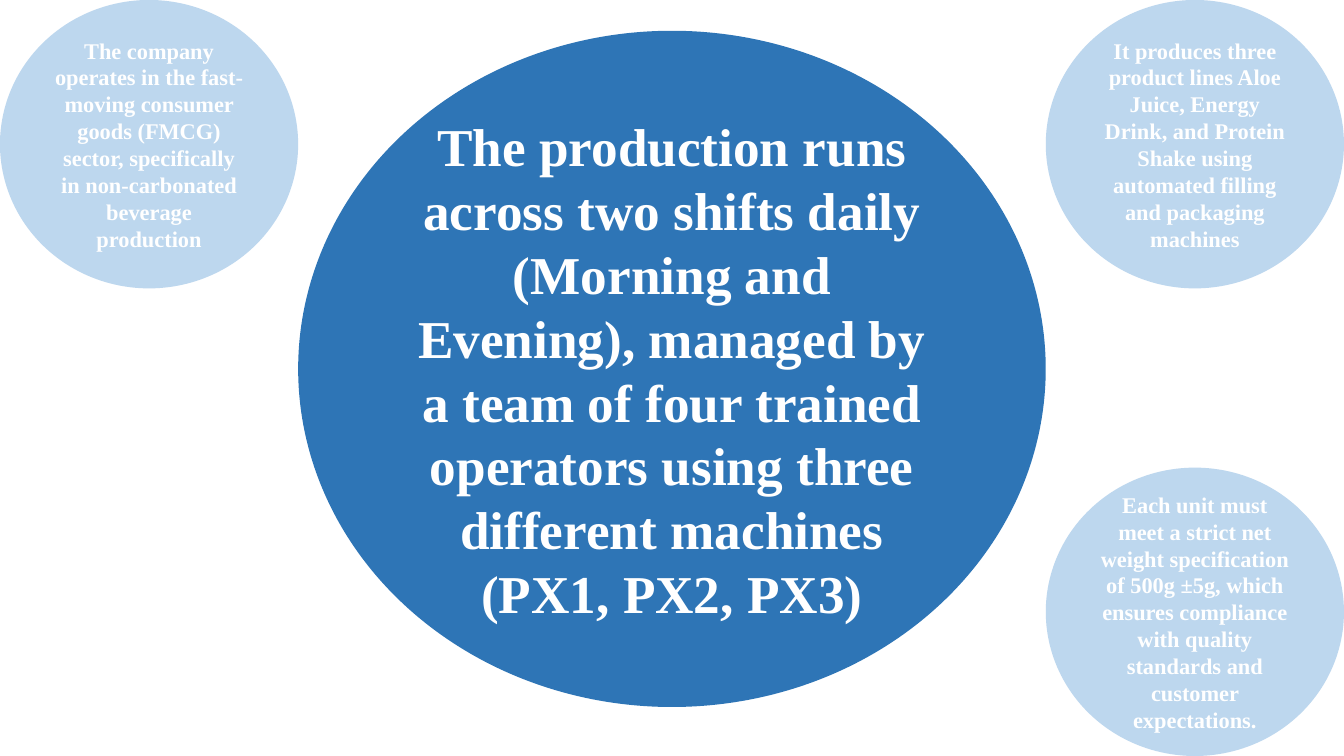
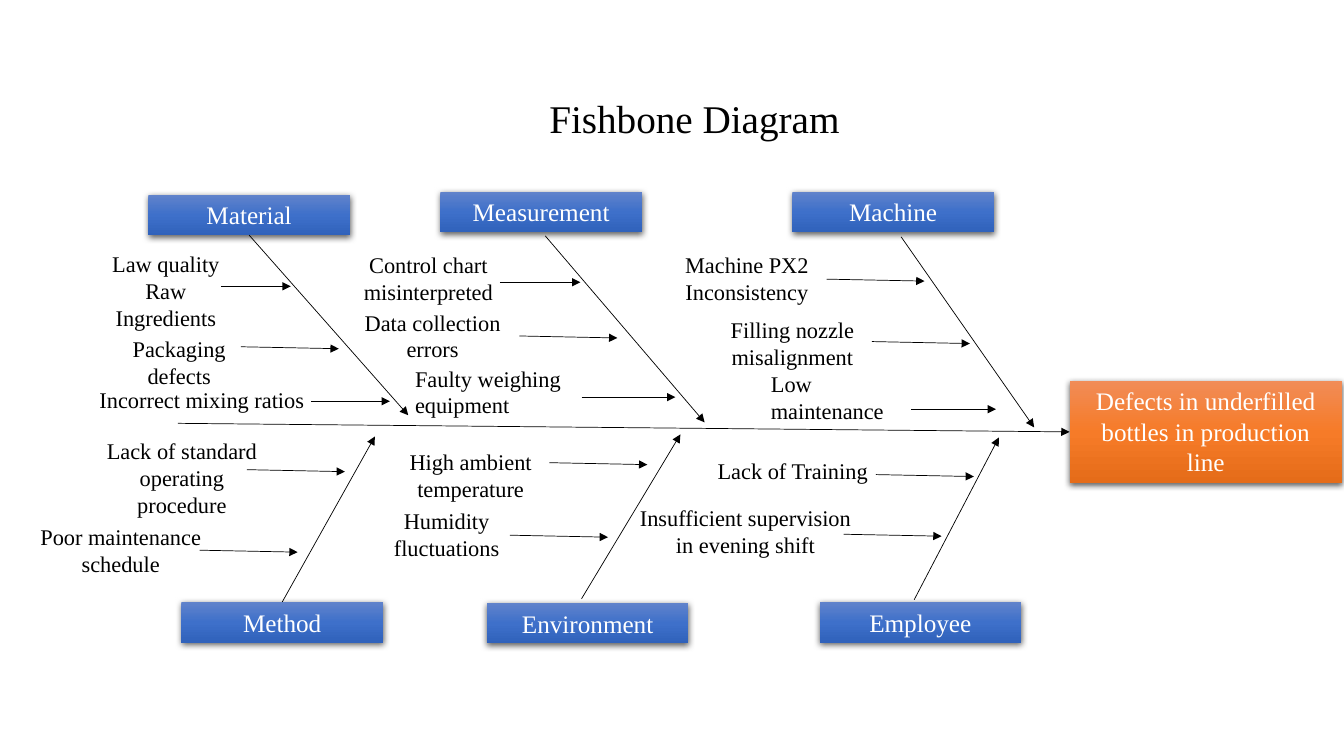
from copy import deepcopy

from lxml.etree import SubElement
from pptx import Presentation
from pptx.dml.color import RGBColor
from pptx.enum.shapes import MSO_CONNECTOR, MSO_SHAPE
from pptx.enum.text import MSO_ANCHOR, PP_ALIGN
from pptx.oxml.ns import qn
from pptx.util import Pt

TITLE_ONLY, BLANK = 5, 6
TOP, LEFT, BOTTOM = 0, 1, 2


def rgb(value):
    return RGBColor.from_string(value)


class Deck:
    """Holds the style and the slide being drawn; lengths are in points."""

    FONT = "Times New Roman"
    BLACK, WHITE = "000000", "FFFFFF"
    DARK_BLUE, PALE_BLUE = "2E75B6", "BDD7EE"
    BLUE_SHADES = ("6183CB", "3E70CA", "3062BB")
    ORANGE_SHADES = ("F18C57", "F67B28", "E56C19")

    def __init__(self):
        self.prs = Presentation()
        self.prs.slide_width, self.prs.slide_height = Pt(960), Pt(540)
        self.slide = None

    def add_slide(self, layout):
        self.slide = self.prs.slides.add_slide(self.prs.slide_layouts[layout])

    def set_text(self, sp, text, size, color, bold=False,
                 align=PP_ALIGN.CENTER, anchor=MSO_ANCHOR.TOP):
        tf = sp.text_frame
        tf.text = text
        tf.word_wrap = True
        tf.vertical_anchor = anchor
        for p in tf.paragraphs:
            p.alignment = align
            p.font.name, p.font.size, p.font.bold = self.FONT, Pt(size), bold
            p.font.color.rgb = rgb(color)

    def title(self, text, x, y, w, h):
        sp = self.slide.shapes.title
        sp.left, sp.top, sp.width, sp.height = Pt(x), Pt(y), Pt(w), Pt(h)
        self.set_text(sp, text, 28, self.BLACK)

    def shape(self, kind, x, y, w, h):
        sp = self.slide.shapes.add_shape(kind, Pt(x), Pt(y), Pt(w), Pt(h))
        sp.line.fill.background()
        sp.shadow.inherit = False
        return sp

    def ellipse(self, text, x, y, w, h, fill, size):
        sp = self.shape(MSO_SHAPE.OVAL, x, y, w, h)
        sp.fill.solid()
        sp.fill.fore_color.rgb = rgb(fill)
        self.set_text(sp, text, size, self.WHITE, bold=True, anchor=MSO_ANCHOR.MIDDLE)

    def box(self, text, x, y, w, h, shades):
        sp = self.shape(MSO_SHAPE.RECTANGLE, x, y, w, h)
        sp_pr = sp._element.spPr
        # Three-stop gradient, running downwards
        sp.fill.gradient()
        sp.fill.gradient_angle = 270
        stops = sp_pr.find(".//" + qn("a:gsLst"))
        stops.insert(1, deepcopy(stops[0]))
        for i, (stop, shade) in enumerate(zip(sp.fill.gradient_stops, shades)):
            stop.position = i / 2
            stop.color.rgb = rgb(shade)
        # Soft shadow below the box
        shadow = SubElement(sp_pr.find(qn("a:effectLst")), qn("a:outerShdw"),
                            blurRad=str(Pt(4.5)), dist=str(Pt(1.5)),
                            dir="5400000", algn="ctr", rotWithShape="0")
        color = SubElement(shadow, qn("a:srgbClr"), val=self.BLACK)
        SubElement(color, qn("a:alpha"), val="63000")
        self.set_text(sp, text, 18, self.WHITE)
        return sp

    def label(self, text, x, y, w, lines, align):
        sp = self.slide.shapes.add_textbox(Pt(x), Pt(y), Pt(w), Pt(8 + 19 * lines))
        self.set_text(sp, text, 16, self.BLACK, align=align)

    def arrow(self, start, end):
        line = self.slide.shapes.add_connector(
            MSO_CONNECTOR.STRAIGHT, *(Pt(v) for v in (*start, *end)))
        line.line.color.rgb = rgb(self.BLACK)
        line.line.width = Pt(0.5)
        sp_pr = line._element.spPr
        SubElement(sp_pr.find(qn("a:ln")), qn("a:tailEnd"), type="triangle")
        SubElement(sp_pr, qn("a:effectLst"))
        return line


CENTER, FLUSH = PP_ALIGN.CENTER, PP_ALIGN.LEFT
SLANT = (70, 1.4)  # run and drop of most cause arrows

# Category: name, box corner, bone start (None joins the box), bone end, causes
# Cause: text, (x, y, width), lines, alignment, arrow start, arrow run and drop
CATEGORIES = [
    ("Material", (106, 139), None, (291.6, 296.6), [
        ("Law quality Raw Ingredients", (62, 175, 113), 3, CENTER, (157.7, 204.5), (50, 0)),
        ("Packaging defects", (66, 236, 124), 2, CENTER, (172, 247.7), SLANT),
        ("Incorrect mixing ratios", (64, 272, 166), 1, FLUSH, (222.5, 286.6), (56, 0)),
    ]),
    ("Measurement", (314.6, 136.8), (389.5, 168.5), (503.3, 301.7), [
        ("Control chart misinterpreted", (243, 176, 126), 2, CENTER, (357, 201.6), (57.6, 0)),
        ("Data collection errors", (243, 217, 132), 2, CENTER, (371, 240), SLANT),
        ("Faulty weighing equipment", (289.4, 257, 139), 2, FLUSH, (415.4, 283.7), (67, 0)),
    ]),
    ("Machine", (566, 136.8), (643.7, 169.2), (738.7, 305.3), [
        ("Machine PX2 Inconsistency", (466, 176, 135), 2, CENTER, (590.4, 199.4), SLANT),
        ("Filling nozzle misalignment", (506, 222.5, 120), 2, CENTER, (622.8, 244), SLANT),
        ("Low maintenance", (543.6, 260.6, 111), 2, FLUSH, (651, 292.3), (60.4, 0)),
    ]),
    ("Method", (129.6, 430), None, (267.8, 311.8), [
        ("Lack of standard operating procedure", (68.4, 309, 123), 3, CENTER,
         (176.4, 335.5), SLANT),
        ("Poor maintenance schedule", (18.7, 370, 135), 2, CENTER, (142.6, 393), SLANT),
    ]),
    ("Environment", (347.8, 430.6), (415.4, 427.7), (486, 310.3), [
        ("High ambient\ntemperature", (283.7, 316.8, 105), 2, CENTER, (392.4, 330.5), SLANT),
        ("Humidity\nfluctuations", (271.5, 358.6, 95), 2, CENTER, (364.3, 382.3), SLANT),
    ]),
    ("Employee", (585.4, 430), (653, 428.4), (713.5, 312.5), [
        ("Lack of Training", (504.7, 323.3, 123), 1, CENTER, (625.7, 339), SLANT),
        ("Insufficient supervision\nin evening shift", (446.5, 356.4, 172), 2, CENTER,
         (602.6, 381.6), SLANT),
    ]),
]


def company_slide(deck):
    deck.add_slide(BLANK)
    deck.ellipse("The production runs across two shifts daily (Morning and Evening), "
                 "managed by a team of four trained operators using three different "
                 "machines (PX1, PX2, PX3)",
                 213, 22, 534, 483, deck.DARK_BLUE, 38)
    w, h = 213, 206
    right, bottom = 960 - w, 540 - h
    facts = [
        (0, 0, "The company operates in the fast-moving consumer goods (FMCG) sector, "
               "specifically in non-carbonated beverage production"),
        (right, 0, "It produces three product lines Aloe Juice, Energy Drink, and Protein "
                   "Shake using automated filling and packaging machines"),
        (right, bottom, "Each unit must meet a strict net weight specification of 500g ±5g, "
                        "which ensures compliance with quality standards and customer "
                        "expectations."),
    ]
    for x, y, text in facts:
        deck.ellipse(text, x, y, w, h, deck.PALE_BLUE, 16)


def fishbone_slide(deck):
    deck.add_slide(TITLE_ONLY)
    deck.title("Fishbone Diagram", 179, 64, 634, 41)

    # Effect and spine
    effect = deck.box("Defects in underfilled bottles in production line",
                      764, 272, 194.5, 73, deck.ORANGE_SHADES)
    spine = deck.arrow((127, 302.4), (764, 311.8))
    spine.end_connect(effect, LEFT)

    # Categories, their bones and causes
    for name, (x, y), start, end, causes in CATEGORIES:
        box = deck.box(name, x, y, 144, 29, deck.BLUE_SHADES)
        bone = deck.arrow(start or (x, y), end)
        if start is None:
            bone.begin_connect(box, BOTTOM if end[1] > y else TOP)
        for text, place, lines, align, (ax, ay), (run, drop) in causes:
            deck.label(text, *place, lines, align)
            deck.arrow((ax, ay), (ax + run, ay + drop))


def main():
    deck = Deck()
    company_slide(deck)
    fishbone_slide(deck)
    deck.prs.save("out.pptx")


if __name__ == "__main__":
    main()
